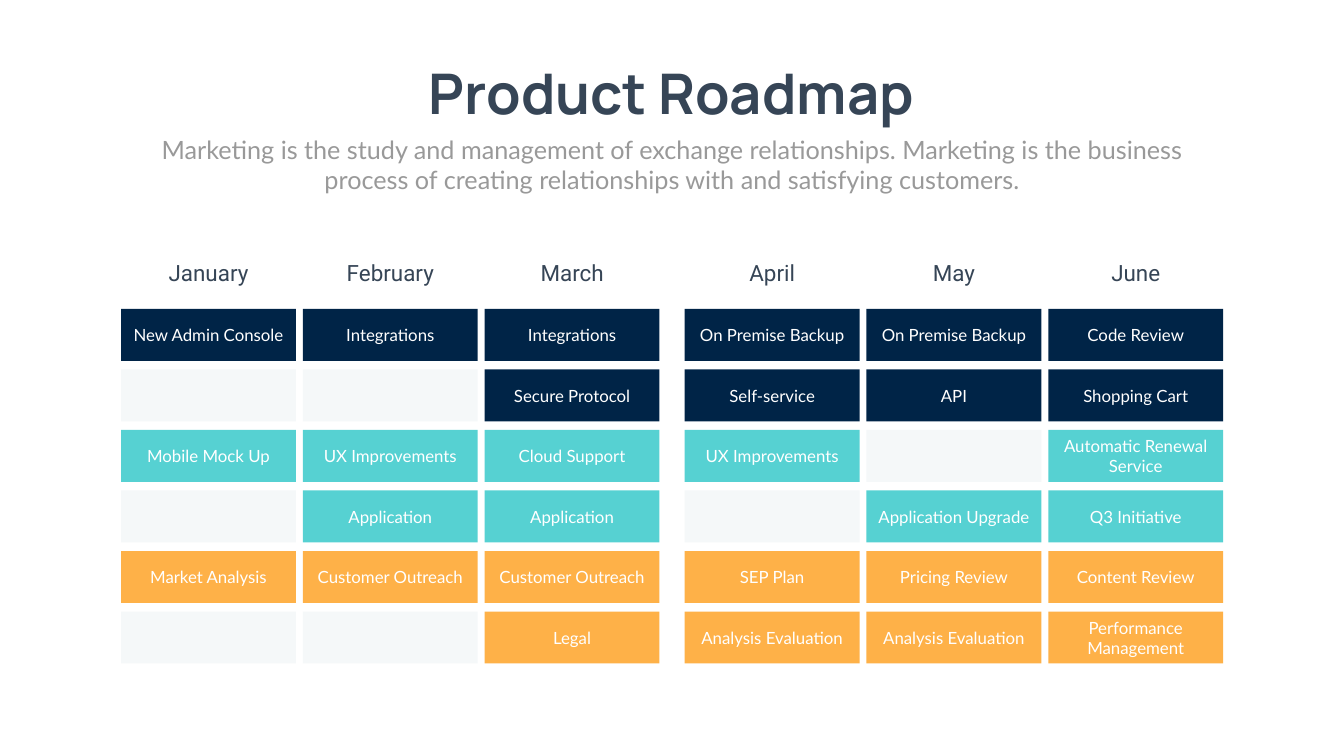
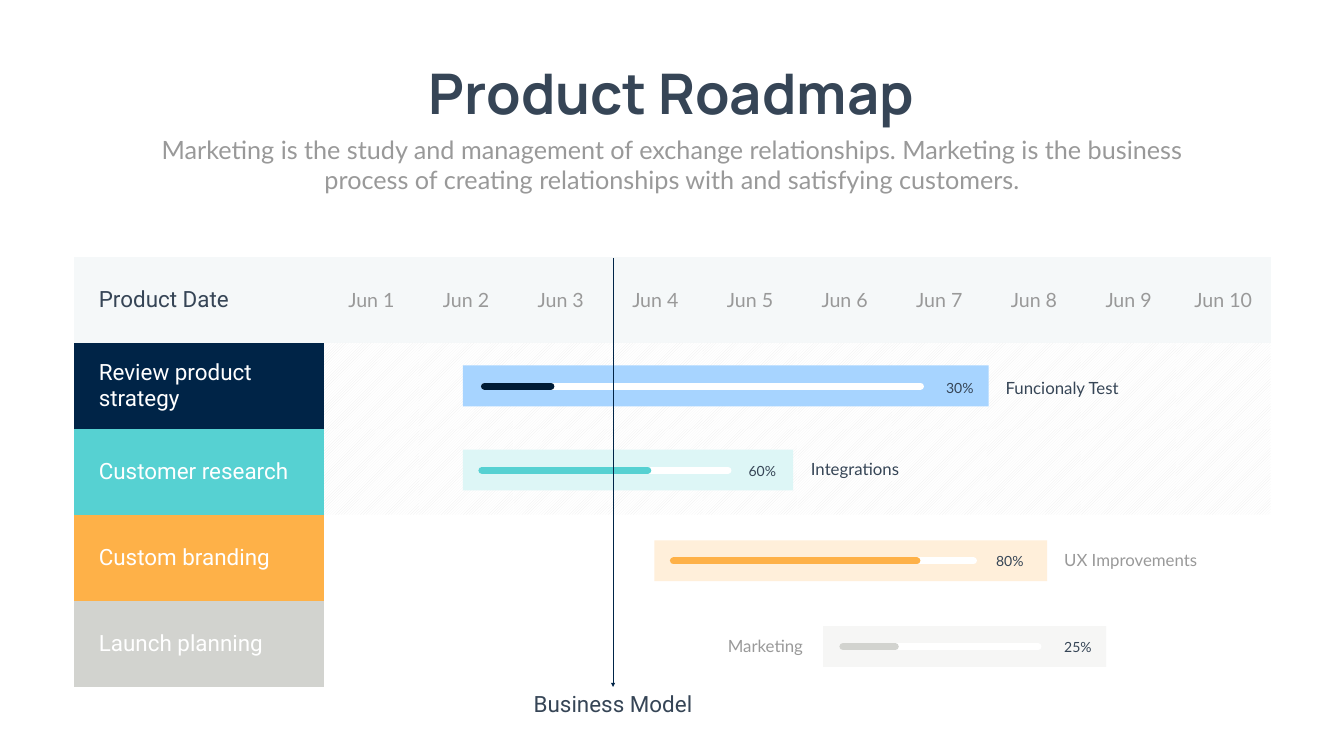
from lxml import etree
from pptx import Presentation
from pptx import util as u
from pptx.dml import color
from pptx.enum import dml, shapes, text
from pptx.oxml import ns


class Theme:
    ink = color.RGBColor.from_string("364556")
    grey = color.RGBColor.from_string("999999")
    white = color.RGBColor.from_string("FFFFFF")
    navy = color.RGBColor.from_string("002447")
    midnight = color.RGBColor.from_string("001B35")
    teal = color.RGBColor.from_string("56D1D2")
    orange = color.RGBColor.from_string("FEB148")
    silver = color.RGBColor.from_string("D2D3CF")
    mist = color.RGBColor.from_string("F5F8F9")
    stripe = color.RGBColor.from_string("EBEBEB")
    pale_blue = color.RGBColor.from_string("A7D4FF")
    pale_teal = color.RGBColor.from_string("DDF6F6")
    pale_orange = color.RGBColor.from_string("FFEFDA")
    pale_silver = color.RGBColor.from_string("F6F6F5")
    title = {"name": "Manrope", "size": u.Pt(80), "bold": True}
    subtitle = {"name": "Lato", "size": u.Pt(36)}
    heading = {"name": "Roboto", "size": u.Pt(32)}
    date = {"name": "Lato", "size": u.Pt(28)}
    body = {"name": "Lato", "size": u.Pt(24)}
    percent = {"name": "Lato", "size": u.Pt(20)}


left, center, right = text.PP_ALIGN.LEFT, text.PP_ALIGN.CENTER, text.PP_ALIGN.RIGHT
middle = text.MSO_ANCHOR.MIDDLE
grow = {"word_wrap": True, "auto_size": text.MSO_AUTO_SIZE.SHAPE_TO_FIT_TEXT}
grow_free = {**grow, "word_wrap": False}


def write(frame, content, style, tint, align=center, frame_format=None):
    for name, value in (frame_format or {}).items():
        setattr(frame, name, value)
    para = frame.paragraphs[0]
    para.alignment = align
    span = para.add_run()
    span.text = content
    for name, value in style.items():
        setattr(span.font, name, value)
    span.font.color.rgb = tint


def draw_line(page, start, end, tint, width, ending):
    line = page.shapes.add_connector(
        shapes.MSO_CONNECTOR.STRAIGHT, *[u.Cm(value) for value in (*start, *end)])
    line.line.color.rgb = tint
    line.line.width = u.Pt(width)
    properties = line._element.spPr
    outline = properties.find(ns.qn("a:ln"))
    if ending == "round":
        outline.set("cap", "rnd")
    else:
        etree.SubElement(outline, ns.qn("a:tailEnd"), type=ending)
    etree.SubElement(properties, ns.qn("a:effectLst"))


deck = Presentation()
deck.slide_width, deck.slide_height = u.Cm(67.72), u.Cm(38.1)
summary = ("Marketing is the study and management of exchange relationships. "
           "Marketing is the business process of creating relationships "
           "with and satisfying customers.")
headers = [
    ((20.29, 2.84, 27.1, 3.68), "Product Roadmap", Theme.title, Theme.ink, grow_free),
    ((7.42, 6.63, 52.88, 3.33), summary, Theme.subtitle, Theme.grey, grow),
]
pages = [deck.slides.add_slide(deck.slide_layouts[6]) for _ in range(2)]
for page in pages:
    for place, content, style, tint, frame_format in headers:
        box = page.shapes.add_textbox(*map(u.Cm, place))
        write(box.text_frame, content, style, tint, center, frame_format)
month_page, gantt_page = pages

months = {
    "January": ["New Admin Console", "", "Mobile Mock Up", "", "Market Analysis", ""],
    "February": ["Integrations", "", "UX Improvements", "Application",
                 "Customer Outreach", ""],
    "March": ["Integrations", "Secure Protocol", "Cloud Support", "Application",
              "Customer Outreach", "Legal"],
    "April": ["On Premise Backup", "Self-service", "UX Improvements", "",
              "SEP Plan", "Analysis Evaluation"],
    "May": ["On Premise Backup", "API", "", "Application Upgrade",
            "Pricing Review", "Analysis Evaluation"],
    "June": ["Code Review", "Shopping Cart", "Automatic Renewal Service",
             "Q3 Initiative", "Content Review", "Performance Management"],
}
bands = [Theme.navy, Theme.teal, Theme.orange]
for column, (month, items) in enumerate(months.items()):
    quarter, position = divmod(column, 3)
    x = 6.1 + 28.4 * quarter + 9.16 * position
    for row, item in enumerate(items):
        box = month_page.shapes.add_shape(
            shapes.MSO_SHAPE.RECTANGLE,
            *map(u.Cm, (x, 15.57 + 3.05 * row, 8.81, 2.62)))
        box.shadow.inherit = False
        box.line.fill.background()
        box.fill.solid()
        box.fill.fore_color.rgb = bands[row // 2] if item else Theme.mist
        if item:
            write(box.text_frame, item, Theme.body, Theme.white, center,
                  {"word_wrap": True, "vertical_anchor": middle})
    box = month_page.shapes.add_textbox(*map(u.Cm, (x + 1.59, 12.95, 5.64, 1.63)))
    write(box.text_frame, month, Theme.heading, Theme.ink, center, grow)

stages = [
    ("Product Date", Theme.mist),
    ("Review product strategy", Theme.navy),
    ("Customer research", Theme.teal),
    ("Custom branding", Theme.orange),
    ("Launch planning", Theme.silver),
]
graphic = gantt_page.shapes.add_table(
    len(stages), 11, *map(u.Cm, (3.71, 12.95, 60.32, 21.65)))
table = graphic.table
table.first_row = table.horz_banding = False
style_id = table._tbl.tblPr.find(ns.qn("a:tableStyleId"))
style_id.text = "{2D5ABB26-0587-4C30-8999-92F81FD0307C}"
for index, column in enumerate(table.columns):
    column.width = u.Cm(4.77 if index else 12.62)
for row, (stage, fill) in enumerate(stages):
    table.rows[row].height = u.Cm(4.33)
    for index in range(11):
        cell = table.cell(row, index)
        cell.vertical_anchor = middle
        if index and row in (1, 2):
            cell.fill.patterned()
            cell.fill.pattern = dml.MSO_PATTERN.WIDE_UPWARD_DIAGONAL
            cell.fill.fore_color.rgb = Theme.stripe
            cell.fill.back_color.rgb = Theme.white
        else:
            cell.fill.solid()
            cell.fill.fore_color.rgb = Theme.white if index and row else fill
        if index == 0:
            cell.margin_left = u.Cm(1.27)
            write(cell.text_frame, stage, Theme.heading,
                  Theme.white if row else Theme.ink, left)
        elif row == 0:
            write(cell.text_frame, f"Jun {index}", Theme.date, Theme.grey)

tasks = [
    {"bar": (23.32, 18.42, 26.49), "track": (24.41, 46.38), "done": 27.76,
     "fills": (Theme.pale_blue, Theme.midnight),
     "label": ("Funcionaly Test", 50.42, 18.9, Theme.ink, left),
     "percent": ("30%", 47.42, 19)},
    {"bar": (23.32, 22.66, 16.64), "track": (24.28, 36.68), "done": 32.64,
     "fills": (Theme.pale_teal, Theme.teal),
     "label": ("Integrations", 40.61, 22.99, Theme.ink, left),
     "percent": ("60%", 37.47, 23.16)},
    {"bar": (32.97, 27.23, 19.79), "track": (33.93, 49.05), "done": 46.2,
     "fills": (Theme.pale_orange, Theme.orange),
     "label": ("UX Improvements", 53.37, 27.56, Theme.grey, left),
     "percent": ("80%", 49.94, 27.74)},
    {"bar": (41.48, 31.55, 14.25), "track": (42.47, 52.3), "done": 45.11,
     "fills": (Theme.pale_silver, Theme.silver),
     "label": ("Marketing", 30.07, 31.9, Theme.grey, right),
     "percent": ("25%", 53.37, 32.05)},
]
for task in tasks:
    x, y, width = task["bar"]
    pale, strong = task["fills"]
    bar = gantt_page.shapes.add_shape(
        shapes.MSO_SHAPE.RECTANGLE, *map(u.Cm, (x, y, width, 2.06)))
    bar.shadow.inherit = False
    bar.line.fill.background()
    bar.fill.solid()
    bar.fill.fore_color.rgb = pale
    start, end = task["track"]
    for stop, tint in ((end, Theme.white), (task["done"], strong)):
        draw_line(gantt_page, (start, y + 1.04), (stop, y + 1.04), tint, 10, "round")
    label, x, y, tint, align = task["label"]
    box = gantt_page.shapes.add_textbox(*map(u.Cm, (x, y, 10.64, 1.27)))
    write(box.text_frame, label, Theme.body, tint, align, grow)
    percent, x, y = task["percent"]
    box = gantt_page.shapes.add_textbox(*map(u.Cm, (x, y, 2.36, 1.12)))
    write(box.text_frame, percent, Theme.percent, Theme.ink, left, grow)

draw_line(gantt_page, (30.89, 13), (30.89, 34.62), Theme.navy, 1.5, "triangle")
box = gantt_page.shapes.add_textbox(*map(u.Cm, (26.57, 34.65, 8.64, 1.63)))
write(box.text_frame, "Business Model", Theme.heading, Theme.ink, center, grow_free)

deck.save("out.pptx")
